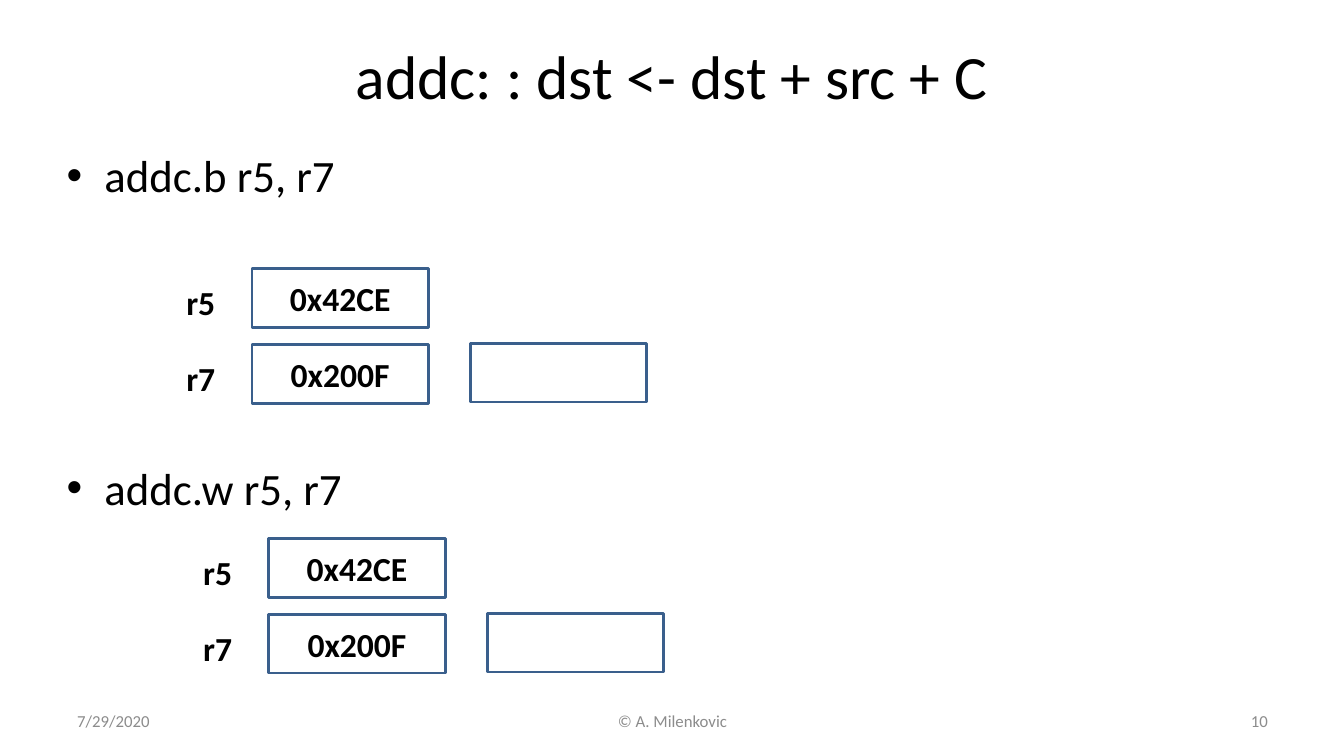
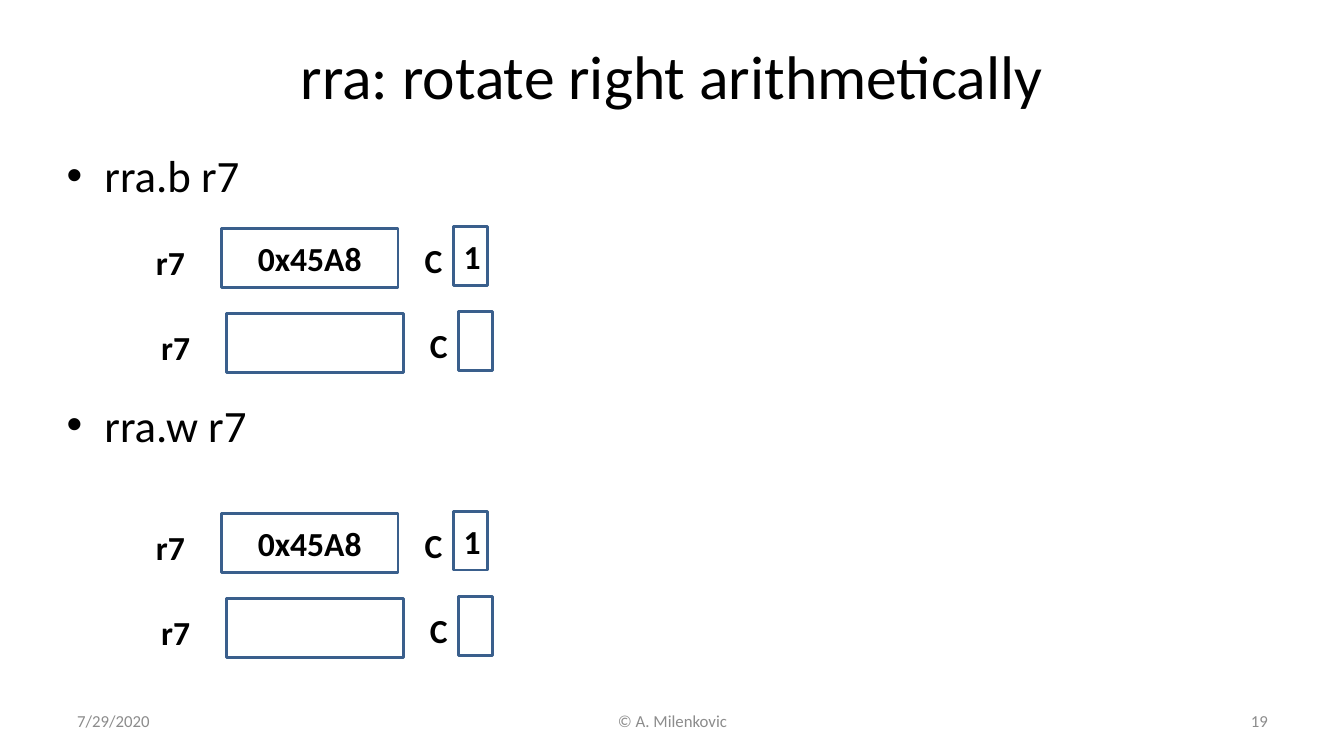
"""Build two instruction exercise slides with register boxes to fill in."""
from dataclasses import dataclass

from lxml import etree
from pptx import Presentation
from pptx.dml.color import RGBColor
from pptx.enum.shapes import MSO_SHAPE
from pptx.enum.text import MSO_ANCHOR, PP_ALIGN
from pptx.oxml.ns import qn
from pptx.util import Pt

LEFT, CENTER, RIGHT = PP_ALIGN.LEFT, PP_ALIGN.CENTER, PP_ALIGN.RIGHT
TOP, MIDDLE = MSO_ANCHOR.TOP, MSO_ANCHOR.MIDDLE
RECTANGLE = MSO_SHAPE.RECTANGLE
PX = 9525
TITLE_ONLY = 5


@dataclass(frozen=True)
class Theme:
    font: str = "Calibri"
    ink: RGBColor = RGBColor(0x00, 0x00, 0x00)
    muted: RGBColor = RGBColor(0x8C, 0x8C, 0x8C)
    outline: RGBColor = RGBColor(0x3A, 0x5F, 0x8C)
    title: int = 44
    body: int = 32
    register: int = 24
    footer: int = 12


THEME = Theme()
BOX_WIDTH, BOX_HEIGHT = 168, 56
FLAG_WIDTH = 32
LABEL_HEIGHT, LABEL_DROP = 48, 8
BULLET_INDENT = 36


def write(shape, text, size, color=THEME.ink, bold=False, align=LEFT, anchor=TOP):
    """Fill a shape with evenly formatted paragraphs."""
    frame = shape.text_frame
    frame.text = text
    frame.word_wrap = True
    frame.vertical_anchor = anchor
    for para in frame.paragraphs:
        para.alignment = align
        for span in para.runs:
            span.font.name = THEME.font
            span.font.size = Pt(size)
            span.font.bold = bold
            span.font.color.rgb = color


def add_box(page, left, top, width, value="", label="", label_width=0, label_left=0):
    """Draw an outlined box with an optional label on its left."""
    box = page.shapes.add_shape(RECTANGLE, left * PX, top * PX, width * PX, BOX_HEIGHT * PX)
    box.shadow.inherit = False
    box.fill.background()
    box.line.color.rgb = THEME.outline
    box.line.width = Pt(2)
    if value:
        write(box, value, THEME.register, bold=True, align=CENTER, anchor=MIDDLE)
    if label:
        tag = page.shapes.add_textbox(label_left * PX, (top + LABEL_DROP) * PX,
                                      label_width * PX, LABEL_HEIGHT * PX)
        write(tag, label, THEME.register, bold=True)


deck = Presentation()
deck.slide_width, deck.slide_height = 1280 * PX, 720 * PX

pages = []
for title, bullets, bullet_gap, number in [
    ("addc: : dst <- dst + src + C", "addc.b r5, r7\naddc.w r5, r7", 185, "10"),
    ("rra: rotate right arithmetically", "rra.b r7\nrra.w r7", 140, "19"),
]:
    page = deck.slides.add_slide(deck.slide_layouts[TITLE_ONLY])
    pages.append(page)

    heading = page.shapes.title
    heading.left, heading.top = 64 * PX, 29 * PX
    heading.width, heading.height = 1152 * PX, 84 * PX
    write(heading, title, THEME.title, align=CENTER, anchor=MIDDLE)

    body = page.shapes.add_textbox(54 * PX, 136 * PX, 1152 * PX, 475 * PX)
    write(body, bullets, THEME.body)
    for para in body.text_frame.paragraphs:
        settings = para._p.get_or_add_pPr()
        settings.set("marL", str(BULLET_INDENT * PX))
        settings.set("indent", str(-BULLET_INDENT * PX))
        etree.SubElement(settings, qn("a:buFont")).set("typeface", "Arial")
        etree.SubElement(settings, qn("a:buChar")).set("char", "•")
    para.space_before = Pt(bullet_gap)

    for left, width, text, align in [
        (64, 299, "7/29/2020", LEFT),
        (438, 405, "© A. Milenkovic", CENTER),
        (918, 299, number, RIGHT),
    ]:
        footer = page.shapes.add_textbox(left * PX, 667 * PX, width * PX, 38 * PX)
        write(footer, text, THEME.footer, THEME.muted, align=align, anchor=MIDDLE)

add_page, rotate_page = pages

for left, top in [(240, 256), (256, 513)]:
    for row, (label, value) in enumerate([("r5", "0x42CE"), ("r7", "0x200F")]):
        add_box(add_page, left, top + row * 72, BOX_WIDTH, value, label, 72, left - 72)
    add_box(add_page, left + 208, top + 71, BOX_WIDTH)

for top in (218, 489):
    for row, (value, carry) in enumerate([("0x45A8", "1"), ("", "")]):
        left, row_top = 211 + row * 5, top + row * 81
        add_box(rotate_page, left, row_top, BOX_WIDTH, value, "r7", 72, left - 72)
        add_box(rotate_page, left + 221, row_top - 2, FLAG_WIDTH, carry, "C", 40, left + 184)

deck.save("out.pptx")
